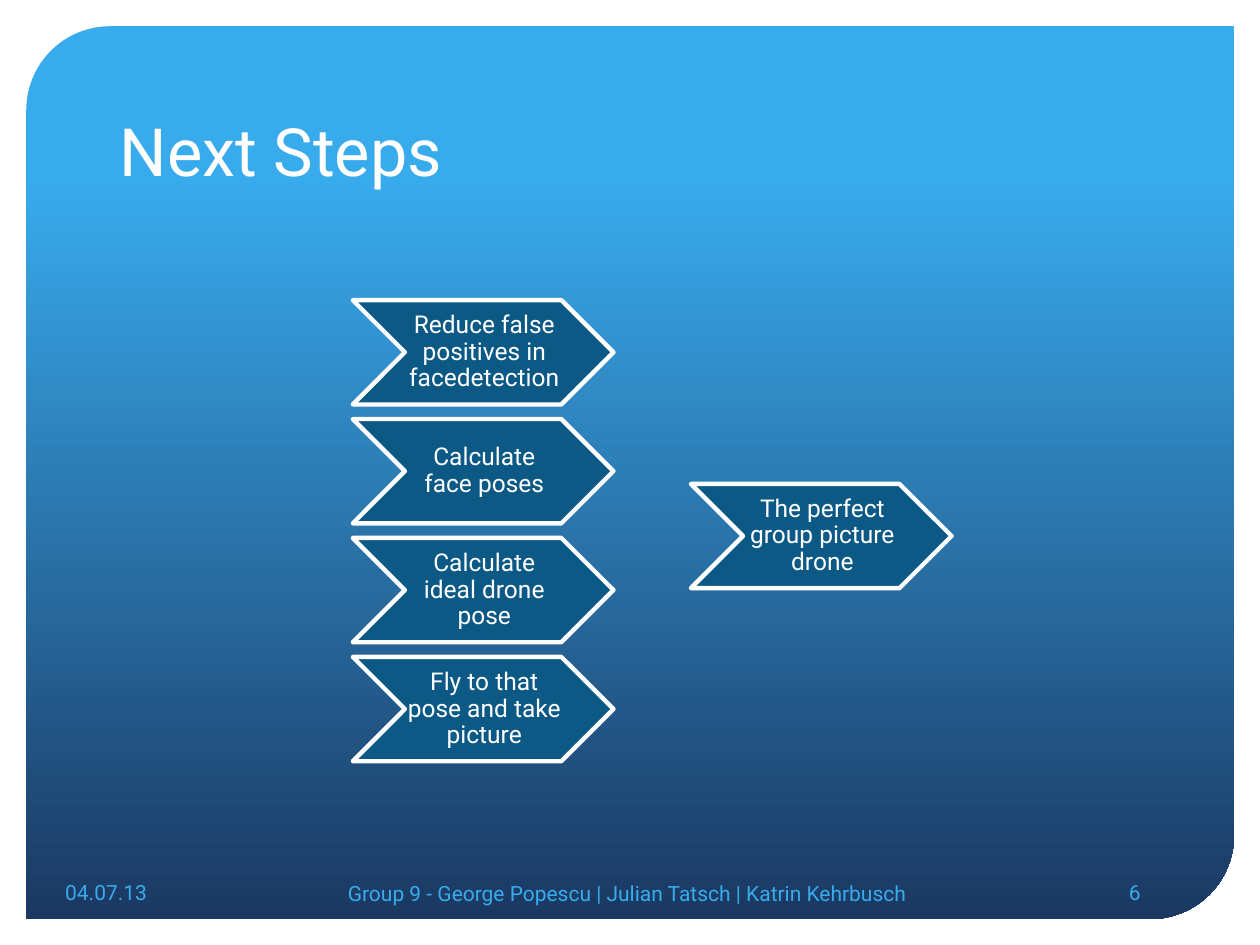
from pptx import Presentation
from pptx.dml.color import RGBColor
from pptx.enum import shapes, text
from pptx.util import Pt

COLORS = {"white": "FFFFFF", "sky": "38ABED", "navy": "1B3861", "step": "0C5986"}
ALIGN = text.PP_ALIGN


def rgb(name):
    return RGBColor.from_string(COLORS[name])


def write(shape, wording, size, color, align, anchor=text.MSO_ANCHOR.MIDDLE, margins=None):
    """Fill the shape with one formatted paragraph; margins is a dict in points."""
    frame = shape.text_frame
    frame.text = wording
    frame_format = {"word_wrap": True, "auto_size": text.MSO_AUTO_SIZE.NONE,
                    "vertical_anchor": anchor}
    for side, width in (margins or {}).items():
        frame_format["margin_" + side] = Pt(width)
    for key, value in frame_format.items():
        setattr(frame, key, value)
    paragraph = frame.paragraphs[0]
    paragraph.alignment = align
    for key, value in {"name": "Roboto", "size": Pt(size)}.items():
        setattr(paragraph.runs[0].font, key, value)
    paragraph.runs[0].font.color.rgb = rgb(color)
    return paragraph


deck = Presentation()
deck.slide_width, deck.slide_height = Pt(720), Pt(540)
slide = deck.slides.add_slide(deck.slide_layouts[5])

# Background panel, behind the title
panel = slide.shapes.add_shape(shapes.MSO_SHAPE.ROUND_2_DIAG_RECTANGLE,
                               Pt(15), Pt(15), Pt(690.2), Pt(510.2))
panel.adjustments[0] = 0.094
panel.adjustments[1] = 0
panel.shadow.inherit = False
panel.line.fill.background()
panel.fill.gradient()
panel.fill.gradient_angle = 270
for stop, (position, color) in zip(panel.fill.gradient_stops, [(0.17, "sky"), (1, "navy")]):
    stop.position = position
    stop.color.rgb = rgb(color)
slide.shapes._spTree.insert(2, panel._element)

# Title
title = slide.shapes.title
title_box = {"left": 61.2, "top": 30.2, "width": 596.9, "height": 82.1}
for key, value in title_box.items():
    setattr(title, key, Pt(value))
write(title, "Next Steps", 38, "white", ALIGN.LEFT, text.MSO_ANCHOR.BOTTOM)

# Steps in a column, and the goal they lead to
STEP_LEFT, STEP_TOP, STEP_PITCH = 201.6, 171.5, 67.95
steps = [
    "Reduce false positives in facedetection",
    "Calculate face poses",
    "Calculate ideal drone pose",
    "Fly to that pose and take picture",
]
chevrons = [(STEP_LEFT, STEP_TOP + i * STEP_PITCH, step) for i, step in enumerate(steps)]
chevrons.append((394.8, 276.5, "The perfect group picture drone"))
for left, top, wording in chevrons:
    chevron = slide.shapes.add_shape(shapes.MSO_SHAPE.CHEVRON,
                                     Pt(left), Pt(top), Pt(149), Pt(59.6))
    chevron.shadow.inherit = False
    chevron.fill.solid()
    chevron.fill.fore_color.rgb = rgb("step")
    chevron.line.color.rgb = rgb("white")
    chevron.line.width = Pt(2.5)
    label = write(chevron, wording, 14, "white", ALIGN.CENTER,
                  margins={"left": 1.4, "top": 0.7, "right": 0, "bottom": 0.7})
    label.line_spacing = 0.9

# Footer: date, group, slide number
footer = [
    (30.2, 495.4, 69.8, "04.07.13", ALIGN.LEFT),
    (100, 496.1, 520, "Group 9 - George Popescu | Julian Tatsch | Katrin Kehrbusch ", ALIGN.CENTER),
    (620, 495.4, 38.9, "6", ALIGN.RIGHT),
]
for left, top, width, wording, align in footer:
    part = slide.shapes.add_textbox(Pt(left), Pt(top), Pt(width), Pt(28.8))
    write(part, wording, 12, "sky", align)

deck.save("out.pptx")
